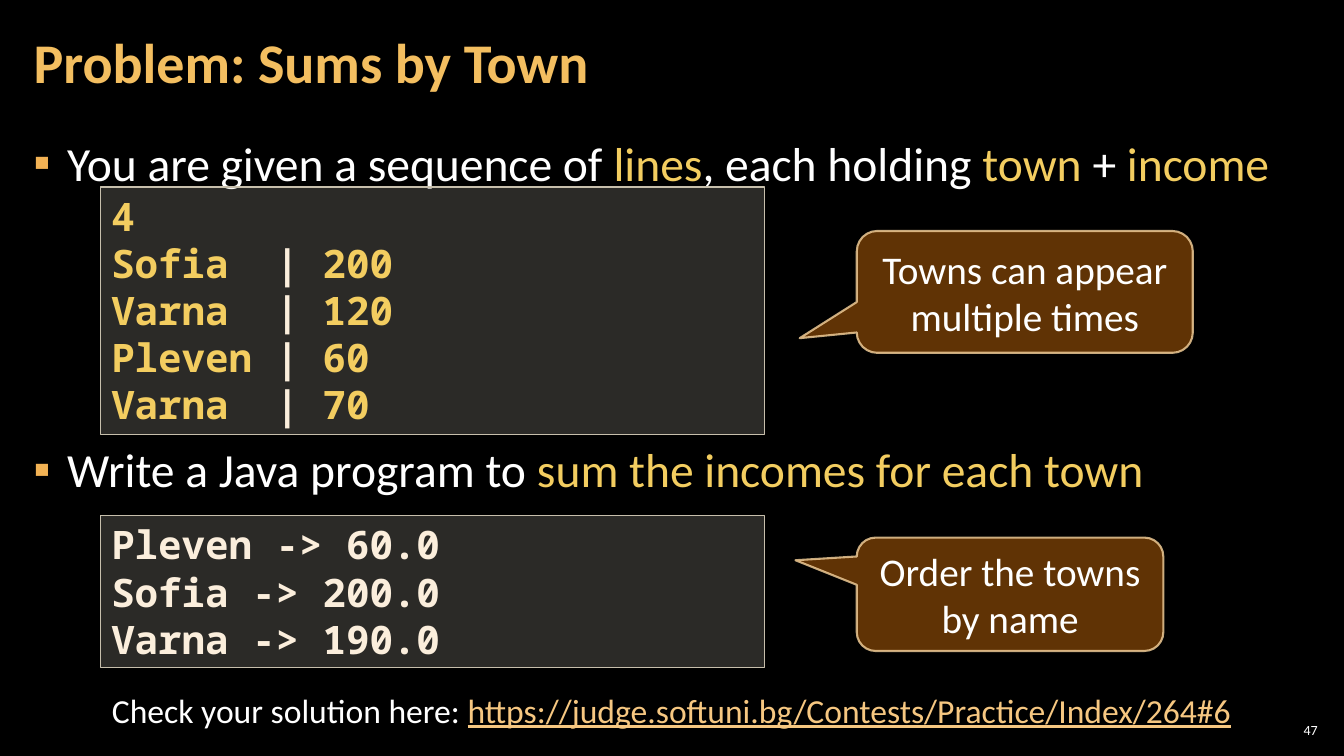
from dataclasses import dataclass

from lxml.etree import SubElement
from pptx import Presentation
from pptx.dml.color import RGBColor
from pptx.enum.shapes import MSO_SHAPE as Shape
from pptx.enum.text import MSO_ANCHOR as Anchor, PP_ALIGN as Align
from pptx.oxml.ns import qn
from pptx.util import Pt

EMU_PER_PX = 9525


@dataclass(frozen=True)
class Theme:
    background: str = "000000"
    text: str = "FFFFFF"
    title: str = "F3BE60"
    accent: str = "F3CD60"
    bullet: str = "F2B254"
    link: str = "F6C781"
    code: str = "FBEEDC"
    code_fill: str = "D9D5C7"
    code_line: str = "C7BFAC"
    callout_fill: str = "663606"
    callout_line: str = "F8D49E"
    body_font: str = "Calibri"
    code_font: str = "Noto Sans Mono"
    title_size: int = 40
    body_size: int = 34
    box_size: int = 28
    link_size: int = 24
    number_size: int = 10


THEME = Theme()


def px(*lengths):
    return [length * EMU_PER_PX for length in lengths]


def set_opacity(color_format, color, percent):
    color_format.rgb = RGBColor.from_string(color)
    element = color_format._xFill.find(qn("a:srgbClr"))
    SubElement(element, qn("a:alpha"), val=str(percent * 1000))


def set_margins(text_frame, horizontal, vertical):
    text_frame.margin_left, text_frame.margin_right = px(horizontal, horizontal)
    text_frame.margin_top, text_frame.margin_bottom = px(vertical, vertical)


def write_lines(text_frame, lines, size, font=THEME.body_font, bold=False, align=Align.LEFT):
    """Write one paragraph per line; a line is a list of (text, colour) runs."""
    text_frame.word_wrap = True
    for index, line in enumerate(lines):
        paragraph = text_frame.add_paragraph() if index else text_frame.paragraphs[0]
        paragraph.alignment = align
        for text, color in line:
            run = paragraph.add_run()
            run.text = text
            run.font.size = Pt(size)
            run.font.name = font
            run.font.bold = bold
            run.font.color.rgb = RGBColor.from_string(color)


def add_text(slide, box, lines, size, margins=(10, 5), anchor=Anchor.TOP, **style):
    text_frame = slide.shapes.add_textbox(*px(*box)).text_frame
    set_margins(text_frame, *margins)
    text_frame.vertical_anchor = anchor
    write_lines(text_frame, lines, size, **style)
    return text_frame


def add_bullets(slide, box, lines, gap):
    """Add a bulleted list with room for a code box, gap points high, between items."""
    text_frame = add_text(slide, box, lines, THEME.body_size, margins=(12, 4))
    for index, paragraph in enumerate(text_frame.paragraphs):
        properties = paragraph._p.get_or_add_pPr()
        indent = px(32)[0]
        properties.set("marL", str(indent))
        properties.set("indent", str(-indent))
        color = SubElement(properties, qn("a:buClr"))
        SubElement(color, qn("a:srgbClr"), val=THEME.bullet)
        SubElement(properties, qn("a:buFont"), typeface=THEME.body_font)
        SubElement(properties, qn("a:buChar"), char="▪")
        paragraph.line_spacing = 1.05
        paragraph.space_before = Pt(gap if index else 0)
        paragraph.space_after = Pt(6)


def add_box(slide, kind, box, fill, line, line_width):
    """Add a shape; fill and line are (colour, opacity percent)."""
    shape = slide.shapes.add_shape(kind, *px(*box))
    shape.shadow.inherit = False
    shape.fill.solid()
    set_opacity(shape.fill.fore_color, *fill)
    shape.line.width = Pt(line_width)
    set_opacity(shape.line.color, *line)
    set_margins(shape.text_frame, 10, 5)
    return shape


def add_code(slide, box, lines):
    shape = add_box(slide, Shape.RECTANGLE, box, (THEME.code_fill, 20), (THEME.code_line, 100), 1)
    shape.text_frame.vertical_anchor = Anchor.TOP
    write_lines(shape.text_frame, lines, THEME.box_size, font=THEME.code_font, bold=True)


def add_callout(slide, box, tip, text):
    """Add a callout; tip is the pointer's offset from the centre in box widths and heights."""
    shape = add_box(slide, Shape.ROUNDED_RECTANGULAR_CALLOUT, box,
                    (THEME.callout_fill, 95), (THEME.callout_line, 80), 1.5)
    shape.adjustments[0], shape.adjustments[1] = tip
    shape.text_frame.vertical_anchor = Anchor.MIDDLE
    write_lines(shape.text_frame, [[(text, THEME.text)]], THEME.box_size, align=Align.CENTER)


def main():
    presentation = Presentation()
    presentation.slide_width, presentation.slide_height = px(1280, 720)
    slide = presentation.slides.add_slide(presentation.slide_layouts[6])
    slide.background.fill.solid()
    slide.background.fill.fore_color.rgb = RGBColor.from_string(THEME.background)

    add_text(slide, (1214, 685, 45, 20), [[("47", THEME.text)]], THEME.number_size,
             margins=(4, 4), anchor=Anchor.MIDDLE, align=Align.RIGHT)
    title = add_text(slide, (20, 4, 1005, 116), [[("Problem: Sums by Town", THEME.title)]],
                     THEME.title_size, margins=(12, 4), anchor=Anchor.MIDDLE, bold=True)
    title.paragraphs[0].line_spacing = 0.9

    add_bullets(slide, (20, 121, 1239, 585), [
        [("You are given a sequence of ", THEME.text), ("lines", THEME.accent),
         (", each holding ", THEME.text), ("town", THEME.accent),
         (" + ", THEME.text), ("income", THEME.accent)],
        [("Write a Java program to ", THEME.text),
         ("sum the incomes for each town", THEME.accent)],
    ], gap=170)

    incomes = [("Sofia", 200), ("Varna", 120), ("Pleven", 60), ("Varna", 70)]
    add_code(slide, (96, 178, 632, 236), [[("4", THEME.accent)]] + [
        [(f"{town:<7}", THEME.accent), ("| ", THEME.code), (str(income), THEME.accent)]
        for town, income in incomes])
    sums = ["Pleven -> 60.0", "Sofia -> 200.0", "Varna -> 190.0"]
    add_code(slide, (96, 491, 632, 145), [[(line, THEME.code)] for line in sums])

    add_callout(slide, (816, 220, 320, 116), (-0.67, 0.38), "Towns can appear multiple times")
    add_callout(slide, (816, 512, 292, 108), (-0.7, -0.3), "Order the towns by name")

    check = add_text(slide, (85, 652, 1109, 48), [
        [("Check your solution here: ", THEME.text),
         ("https://judge.softuni.bg/Contests/Practice/Index/264#6", THEME.link)],
    ], THEME.link_size, align=Align.CENTER)
    check.paragraphs[0].runs[1].font.underline = True

    presentation.save("out.pptx")


if __name__ == "__main__":
    main()
